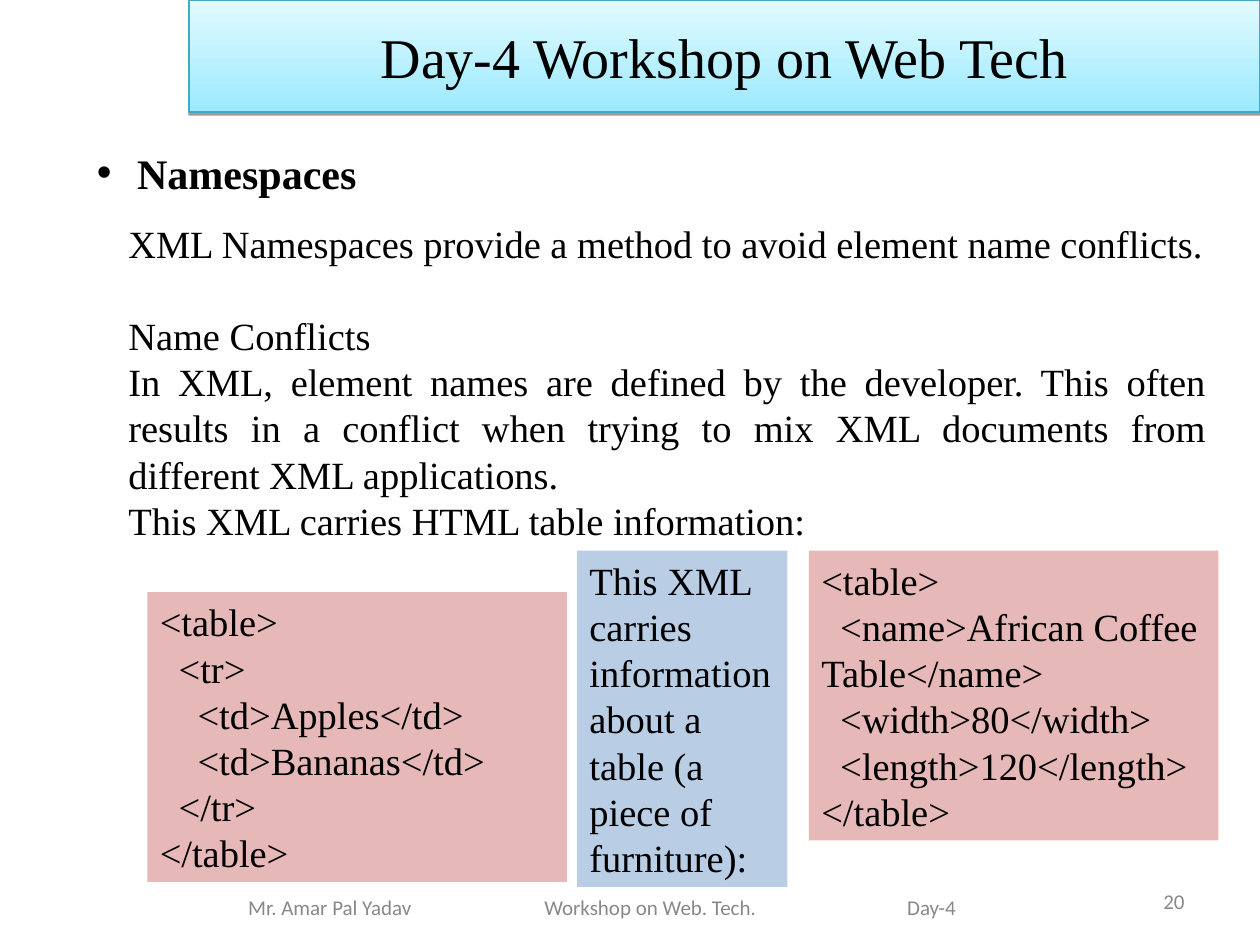
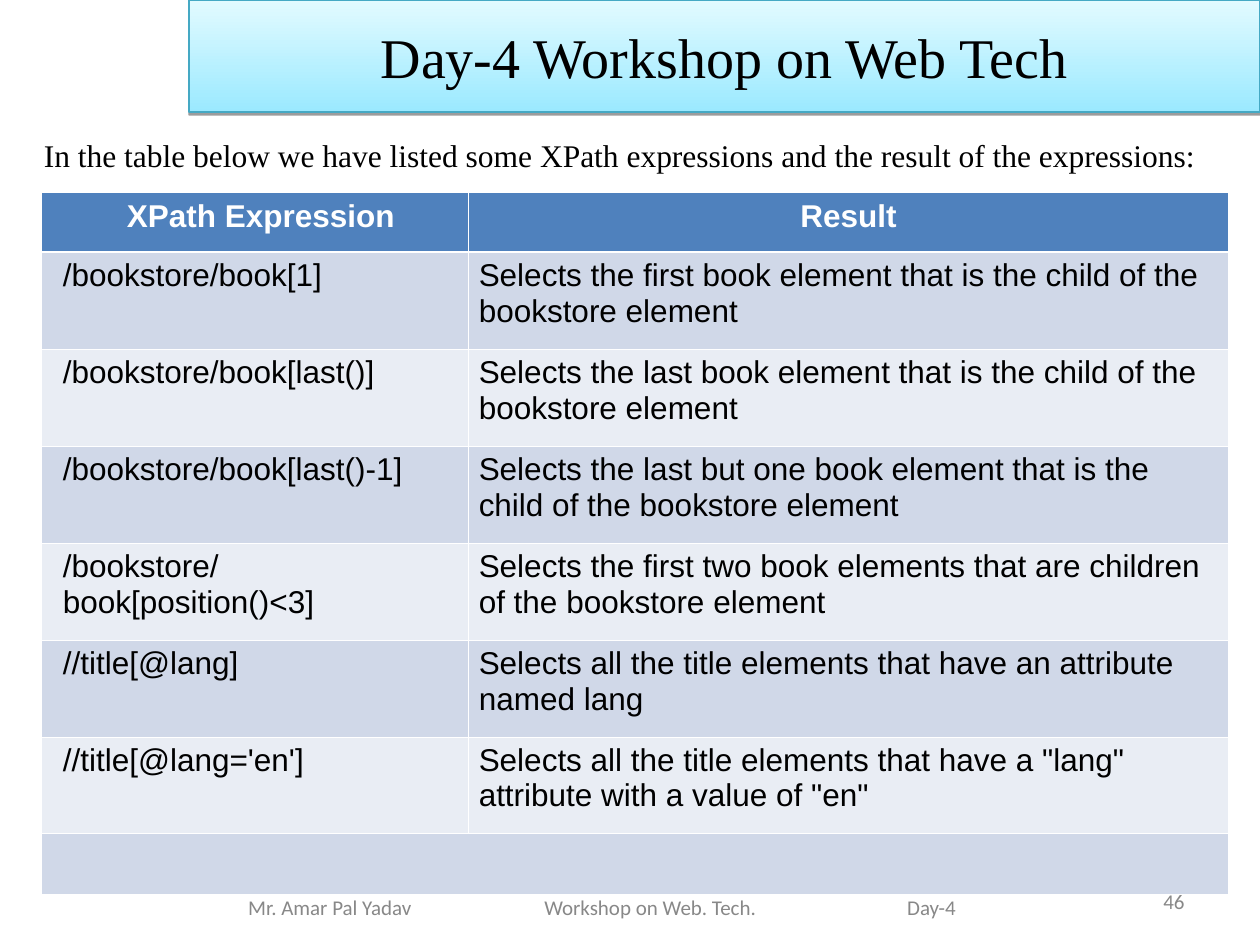
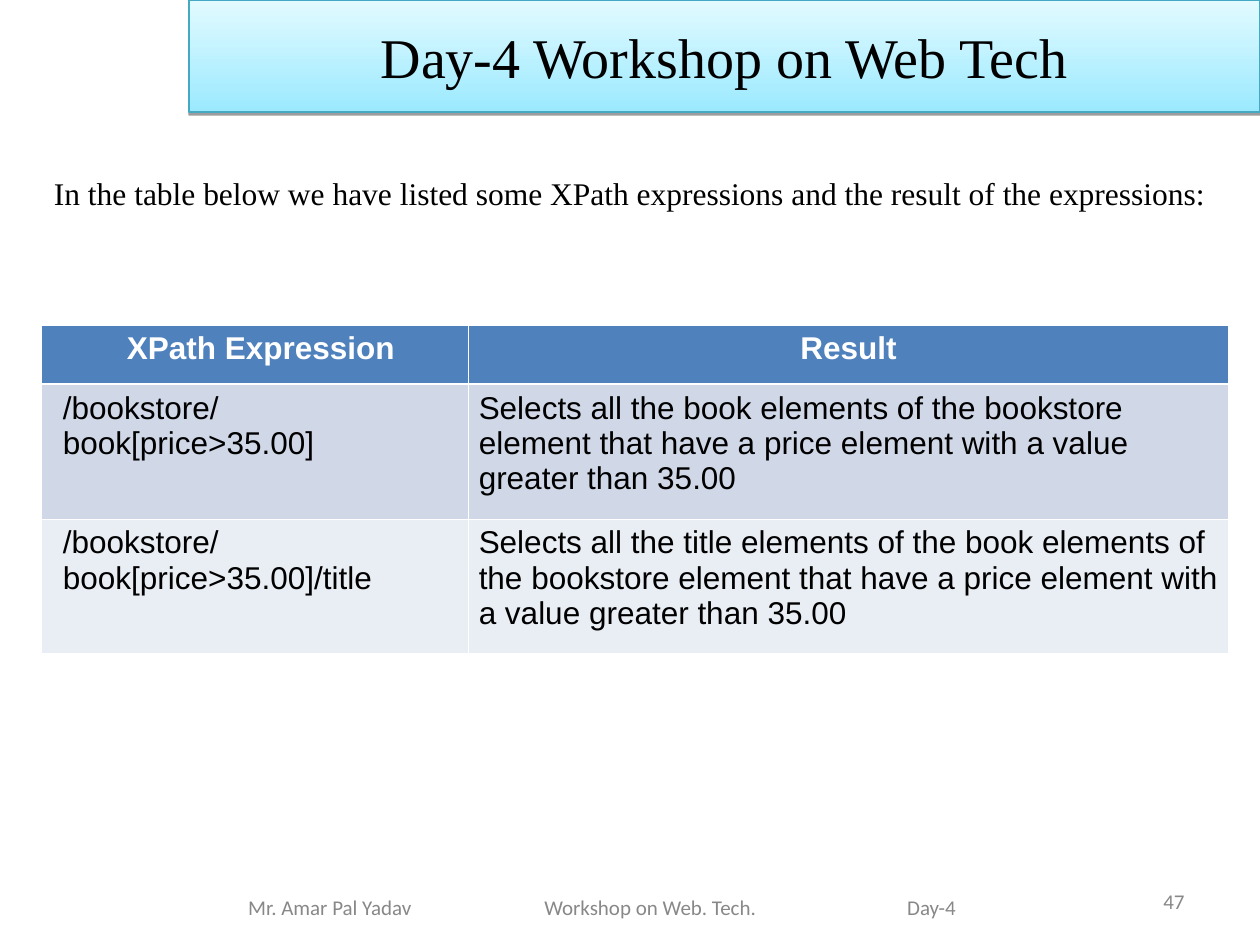
from lxml.etree import SubElement
from pptx import Presentation
from pptx.dml.color import RGBColor
from pptx.enum.shapes import MSO_SHAPE
from pptx.enum.text import MSO_ANCHOR, PP_ALIGN
from pptx.oxml.ns import qn
from pptx.util import Emu, Pt

# Shared style
EMU_PER_PX = 9144  # 100 px to the inch
SERIF, SANS, FOOTER_FONT = "Times New Roman", "Arial", "Calibri"
BLACK, WHITE, GREY = "000000", "FFFFFF", "888888"
BAND_BOTTOM, BAND_TOP, BAND_LINE = "9BE9FF", "E2FBFF", "45A9C4"
PINK, BLUE = "E6B9B8", "B9CDE5"
HEADER_FILL, ROW_FILLS = "4F81BD", ("D0D8E8", "E9EDF4")
THIN, THICK = 0.45, 1.47

# Shared wording
TITLE = "Day-4 Workshop on Web Tech"
FOOTER = "Mr. Amar Pal Yadav\tWorkshop on Web. Tech.\tDay-4"
TABLE_INTRO = ("In the table below we have listed some XPath expressions "
               "and the result of the expressions:")
TABLE_HEADER = ("XPath Expression", "Result")


def px(length):
    return Emu(length * EMU_PER_PX)


def color(hex_string):
    return RGBColor.from_string(hex_string)


class Deck:
    def __init__(self):
        self.presentation = Presentation()
        self.presentation.slide_width = px(1000)
        self.presentation.slide_height = px(750)
        self.slide = None

    def new_slide(self, number):
        """Add a slide with the title band, footer and number."""
        self.slide = self.presentation.slides.add_slide(
            self.presentation.slide_layouts[6])
        self.text((717, 695, 233, 40), [str(number)], size=12, font=FOOTER_FONT,
                  ink=GREY, align=PP_ALIGN.RIGHT, anchor=MSO_ANCHOR.MIDDLE)
        self.title_band()
        self.footer()

    def title_band(self):
        band = self.slide.shapes.add_shape(
            MSO_SHAPE.RECTANGLE, px(150), px(0), px(850), px(89))
        band.fill.gradient()
        band.fill.gradient_angle = 90
        for stop, shade in zip(band.fill.gradient_stops, (BAND_BOTTOM, BAND_TOP)):
            stop.color.rgb = color(shade)
        band.line.color.rgb = color(BAND_LINE)
        band.line.width = Pt(0.75)
        # Hard shadow just below the band
        band.shadow.inherit = False
        effects = band._element.spPr.find(qn("a:effectLst"))
        shadow = SubElement(effects, qn("a:outerShdw"), blurRad="0",
                            dist=str(Pt(1.6)), dir="5400000", rotWithShape="0")
        shade = SubElement(shadow, qn("a:srgbClr"), val=BLACK)
        SubElement(shade, qn("a:alpha"), val="38000")
        band.text_frame.text = TITLE
        band.text_frame.vertical_anchor = MSO_ANCHOR.MIDDLE
        self.format(band.text_frame, 32, SERIF, BLACK, PP_ALIGN.CENTER)

    def footer(self):
        box = self.text((140, 700, 677, 40), [FOOTER], size=12, font=FOOTER_FONT,
                        ink=GREY, anchor=MSO_ANCHOR.MIDDLE)
        box.text_frame.margin_left = px(57)
        properties = box.text_frame.paragraphs[0]._p.get_or_add_pPr()
        tabs = SubElement(properties, qn("a:tabLst"))
        for position in (235, 523):
            SubElement(tabs, qn("a:tab"), pos=str(px(position)), algn="l")

    def format(self, frame, size, font, ink, align, bold=False):
        for paragraph in frame.paragraphs:
            paragraph.alignment = align
            for run in paragraph.runs:
                run.font.size = Pt(size)
                run.font.name = font
                run.font.bold = bold
                run.font.color.rgb = color(ink)

    def text(self, box, lines, size=22, font=SERIF, ink=BLACK, bold=False,
             align=PP_ALIGN.LEFT, anchor=MSO_ANCHOR.TOP, fill=None):
        shape = self.slide.shapes.add_textbox(*map(px, box))
        if fill:
            shape.fill.solid()
            shape.fill.fore_color.rgb = color(fill)
        frame = shape.text_frame
        frame.word_wrap = True
        frame.vertical_anchor = anchor
        frame.text = "\n".join(lines)
        self.format(frame, size, font, ink, align, bold)
        return shape

    def bullet(self, box, line):
        shape = self.text(box, [line], size=24, bold=True)
        properties = shape.text_frame.paragraphs[0]._p.get_or_add_pPr()
        properties.set("marL", str(px(32)))
        properties.set("indent", str(px(-32)))
        SubElement(properties, qn("a:buFont"), typeface=SANS)
        SubElement(properties, qn("a:buChar"), char="•")

    def code(self, box, lines):
        """Draw code lines given as (level, text), with a first-line indent."""
        shape = self.text(box, [line for _, line in lines], fill=PINK)
        for (level, _), paragraph in zip(lines, shape.text_frame.paragraphs):
            properties = paragraph._p.get_or_add_pPr()
            properties.set("marL", "0")
            properties.set("indent", str(px(15 * level)))

    def borders(self, cell, top, bottom):
        properties = cell._tc.get_or_add_tcPr()
        for side, width in (("L", THIN), ("R", THIN), ("T", top), ("B", bottom)):
            line = SubElement(properties, qn(f"a:ln{side}"), w=str(Pt(width)))
            fill = SubElement(line, qn("a:solidFill"))
            SubElement(fill, qn("a:srgbClr"), val=WHITE)

    def table(self, top, rows, heights):
        """Draw the header and rows; a row of one text spans both columns."""
        widths = (339, 603)
        rows = [TABLE_HEADER, *rows]
        table = self.slide.shapes.add_table(
            len(rows), len(widths), px(33), px(top),
            px(sum(widths)), px(sum(heights))).table
        for column, width in zip(table.columns, widths):
            column.width = px(width)
        for index, (texts, height) in enumerate(zip(rows, heights)):
            table.rows[index].height = px(height)
            is_header = index == 0
            for position in range(len(widths)):
                cell = table.cell(index, position)
                self.borders(cell, THICK if index == 1 else THIN,
                             THICK if is_header else THIN)
                cell.fill.solid()
                cell.fill.fore_color.rgb = color(
                    HEADER_FILL if is_header else ROW_FILLS[(index - 1) % 2])
                cell.margin_left = px(8 if position else 17)
                cell.margin_right = px(8)
                if position < len(texts):
                    cell.text_frame.text = texts[position]
                    self.format(cell.text_frame, 18, SANS,
                                WHITE if is_header else BLACK,
                                PP_ALIGN.CENTER if is_header else PP_ALIGN.LEFT,
                                is_header)
            if len(texts) == 1:
                table.cell(index, 0).merge(table.cell(index, 1))


def namespaces_slide(deck):
    deck.new_slide(20)
    deck.bullet((67, 112, 717, 50), "Namespaces")
    body = deck.text((92, 170, 875, 304), [
        "XML Namespaces provide a method to avoid element name conflicts.",
        "Name Conflicts",
        "In XML, element names are defined by the developer. This often results "
        "in a conflict when trying to mix XML documents from different XML "
        "applications.",
        "This XML carries HTML table information:",
    ], align=PP_ALIGN.JUSTIFY)
    body.text_frame.paragraphs[1].space_before = Pt(26)
    deck.code((117, 470, 333, 230), [
        (0, "<table>"),
        (1, "<tr>"),
        (2, "<td>Apples</td>"),
        (2, "<td>Bananas</td>"),
        (1, "</tr>"),
        (0, "</table>"),
    ])
    deck.text((458, 437, 167, 267), [
        "This XML carries information about a table (a piece of furniture):",
    ], fill=BLUE)
    deck.code((642, 437, 325, 230), [
        (0, "<table>"),
        (1, "<name>African Coffee Table</name>"),
        (1, "<width>80</width>"),
        (1, "<length>120</length>"),
        (0, "</table>"),
    ])


def position_slide(deck):
    deck.new_slide(46)
    deck.text((25, 103, 950, 40), [TABLE_INTRO], size=18)
    deck.table(153, [
        ("/bookstore/book[1]",
         "Selects the first book element that is the child of the bookstore element"),
        ("/bookstore/book[last()]",
         "Selects the last book element that is the child of the bookstore element"),
        ("/bookstore/book[last()-1]",
         "Selects the last but one book element that is the child of the "
         "bookstore element"),
        ("/bookstore/book[position()<3]",
         "Selects the first two book elements that are children of the "
         "bookstore element"),
        ("//title[@lang]",
         "Selects all the title elements that have an attribute named lang"),
        ("//title[@lang='en']",
         'Selects all the title elements that have a "lang" attribute with a '
         'value of "en"'),
        ("",),
    ], [47] + [77] * 6 + [48])


def price_slide(deck):
    deck.new_slide(47)
    deck.text((33, 133, 950, 40), [TABLE_INTRO], size=18)
    deck.table(258, [
        ("/bookstore/book[price>35.00]",
         "Selects all the book elements of the bookstore element that have a "
         "price element with a value greater than 35.00"),
        ("/bookstore/book[price>35.00]/title",
         "Selects all the title elements of the book elements of the bookstore "
         "element that have a price element with a value greater than 35.00"),
    ], [47] + [107] * 2)


def main():
    deck = Deck()
    namespaces_slide(deck)
    position_slide(deck)
    price_slide(deck)
    deck.presentation.save("out.pptx")


if __name__ == "__main__":
    main()
